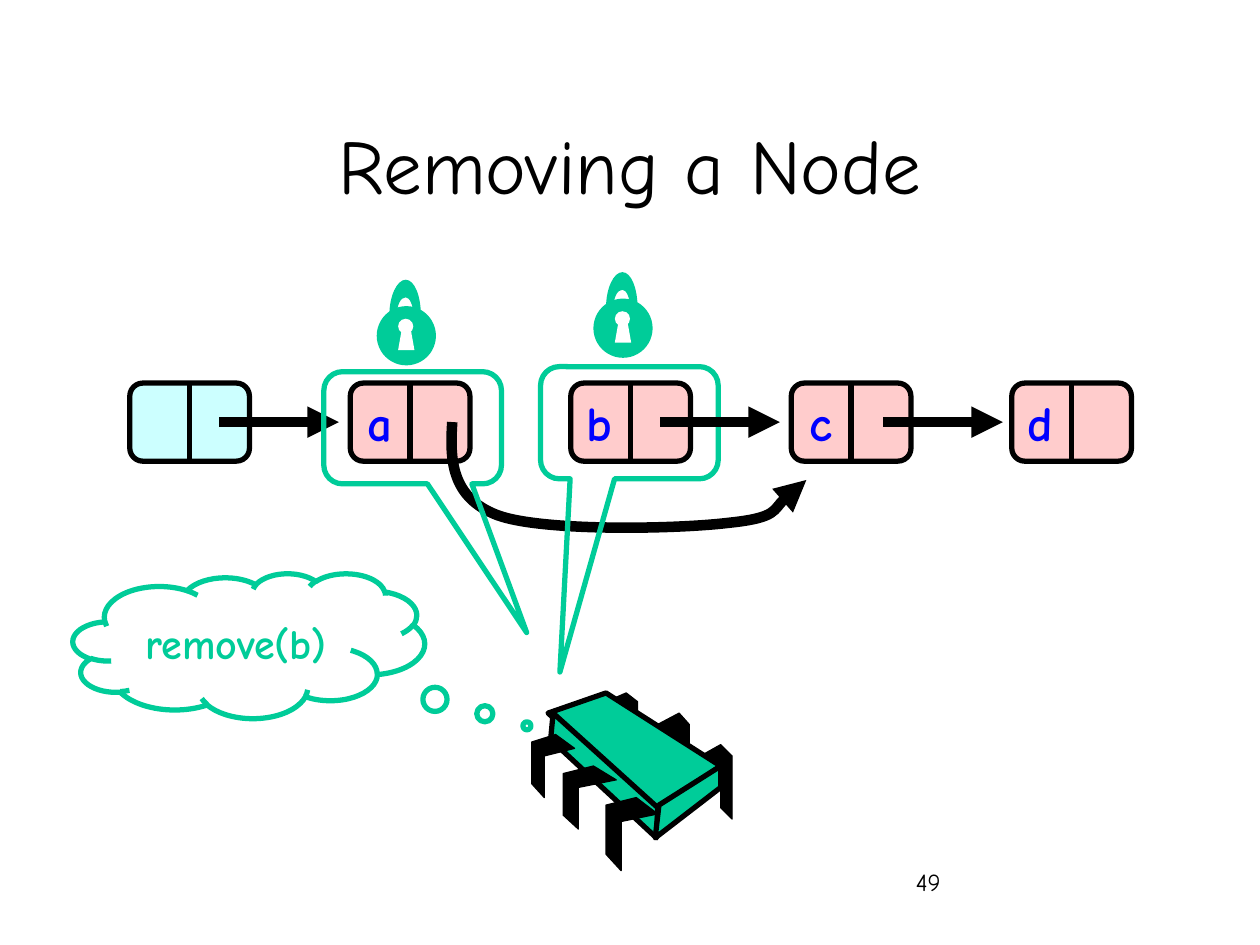
from lxml.etree import SubElement
from pptx import Presentation
from pptx.dml.color import RGBColor
from pptx.enum.shapes import MSO_CONNECTOR, MSO_SHAPE
from pptx.enum.text import MSO_ANCHOR, PP_ALIGN
from pptx.oxml.ns import qn
from pptx.util import Pt

PX = 9144  # EMU per px, 100 px to the inch
FONT = "Comic Neue"
COLORS = {"black": "000000", "white": "FFFFFF", "blue": "0000FF",
          "green": "00CC99", "cyan": "CCFFFF", "pink": "FFCCCC"}

# Content
TITLE = "Removing a Node"
PAGE_NUMBER = "49"
CALL = "remove(b)"
NODES = ["", "a", "b", "c", "d"]
NODE_LEFT, NODE_TOP, NODE_STEP = 103, 304, 175
NODE_WIDTH, NODE_HEIGHT = 95, 62
ARROW_STARTS, ARROW_LENGTH, ARROW_Y = [174, 524, 701], 95, 335
BYPASS = [(359, 335), (357, 365), (358, 395), (395, 409), (431, 422),
          (537, 420), (578, 415), (618, 411), (627, 388), (640, 381)]

# Lock callouts: box and pointer adjustments
CALLOUTS = [((429, 291, 141, 89), (-0.391, 2.223, 0.167)),
            ((257, 295, 141, 89), (0.642, 1.826, 0.167))]
CLOUD = ((58, 455, 279, 115), (0.791, 0.553))

# Padlocks: corners, and outlines relative to them
LOCKS = [(471, 237), (299, 243)]
KEYHOLE = [(17, 35), (20, 18), (27, 18), (30, 35)]
SHACKLE = [(16, 7), (16, -1), (19, -7), (23, -7), (26, -7), (29, -1), (29, 7),
           (35, 7), (35, -8), (30, -21), (23, -21), (16, -21), (10, -8), (10, 7)]

# Processor chip, back to front: fill, line width, outline
CHIP = [
    ("black", 0.75, [(556, 600), (572, 591), (581, 600), (581, 650),
                     (572, 641), (572, 608), (556, 616)]),
    ("black", 0.75, [(522, 575), (539, 566), (547, 575), (547, 625),
                     (539, 616), (539, 583), (522, 591)]),
    ("black", 0.75, [(481, 557), (497, 550), (506, 557), (506, 600),
                     (497, 593), (497, 564), (481, 571)]),
    ("green", 3, [(481, 550), (572, 608), (521, 643), (435, 566)]),
    ("green", 3, [(439, 566), (522, 641), (521, 665), (437, 587)]),
    ("green", 3, [(572, 608), (572, 625), (520, 665), (523, 639)]),
    ("black", 0.75, [(505, 633), (522, 646), (493, 652), (493, 691),
                     (481, 678), (481, 639)]),
    ("black", 0.75, [(471, 608), (489, 619), (459, 625), (459, 658),
                     (447, 647), (447, 614)]),
    ("black", 0.75, [(441, 583), (456, 594), (432, 600), (432, 633),
                     (422, 622), (422, 589)]),
]


def rgb(name):
    return RGBColor.from_string(COLORS[name])


def paint(shape, fill=None, line=None, width=3):
    shape.shadow.inherit = False
    if fill:
        shape.fill.solid()
        shape.fill.fore_color.rgb = rgb(fill)
    else:
        shape.fill.background()
    if line:
        shape.line.color.rgb = rgb(line)
        shape.line.width = Pt(width)
    else:
        shape.line.fill.background()


def write(shape, text, size, color="black", bold=False, align=PP_ALIGN.LEFT,
          anchor=MSO_ANCHOR.TOP, wrap=True):
    frame = shape.text_frame
    frame.word_wrap = wrap
    frame.vertical_anchor = anchor
    paragraph = frame.paragraphs[0]
    paragraph.alignment = align
    run = paragraph.add_run()
    run.text = text
    run.font.name = FONT
    run.font.size = Pt(size)
    run.font.bold = bold
    run.font.color.rgb = rgb(color)


def add_box_text(shapes, box, text, size, **style):
    write(shapes.add_textbox(*(value * PX for value in box)), text, size, **style)


def add_shape(shapes, kind, box, adjustments=(), **style):
    shape = shapes.add_shape(kind, *(value * PX for value in box))
    for index, value in enumerate(adjustments):
        shape.adjustments[index] = value
    paint(shape, **style)
    return shape


def add_outline(shapes, points, curve_starts=(), close=True, **style):
    """Each curve start is the segment that opens a run of three curve points."""
    builder = shapes.build_freeform(*points[0], scale=PX)
    builder.add_line_segments(points[1:], close=close)
    shape = builder.convert_to_shape()
    segments = list(shape._element.iter(qn("a:lnTo")))
    for start in curve_starts:
        curve, *others = segments[start:start + 3]
        curve.tag = qn("a:cubicBezTo")
        for segment in others:
            curve.append(segment[0])
            segment.getparent().remove(segment)
    paint(shape, **style)
    return shape


def add_line(shapes, start, end, width):
    line = shapes.add_connector(MSO_CONNECTOR.STRAIGHT,
                                *(value * PX for value in start + end))
    line.line.color.rgb = rgb("black")
    line.line.width = Pt(width)
    SubElement(line._element.spPr, qn("a:effectLst"))
    return line


def add_arrowhead(shape):
    SubElement(shape.line._get_or_add_ln(), qn("a:tailEnd"), type="triangle")


def add_arrow(shapes, left):
    add_arrowhead(add_line(shapes, (left, ARROW_Y), (left + ARROW_LENGTH, ARROW_Y), 6))


def add_node(slide, index, label):
    shapes = slide.shapes.add_group_shape().shapes
    left = NODE_LEFT + index * NODE_STEP
    node = add_shape(shapes, MSO_SHAPE.ROUNDED_RECTANGLE,
                     (left, NODE_TOP, NODE_WIDTH, NODE_HEIGHT), [0.167],
                     fill="pink" if label else "cyan", line="black")
    middle = left + NODE_WIDTH // 2
    divider = add_line(shapes, (middle, NODE_TOP), (middle, NODE_TOP + NODE_HEIGHT), 3)
    divider.begin_connect(node, 0)
    divider.end_connect(node, 2)
    if label:
        add_box_text(shapes, (left, NODE_TOP + 3, 43, 57), label, 28, color="blue",
                     bold=True, align=PP_ALIGN.RIGHT, wrap=False)


def add_lock(slide, left, top):
    shapes = slide.shapes.add_group_shape().shapes
    add_shape(shapes, MSO_SHAPE.OVAL, (left, top, 47, 47), fill="green")
    add_shape(shapes, MSO_SHAPE.OVAL, (left + 17, top + 10, 12, 12), fill="white")
    for points, curves, fill in [(KEYHOLE, (), "white"),
                                 (SHACKLE, (0, 3, 7, 10), "green")]:
        add_outline(shapes, [(left + x, top + y) for x, y in points], curves, fill=fill)


def main():
    presentation = Presentation()
    presentation.slide_width, presentation.slide_height = 1000 * PX, 750 * PX
    slide = presentation.slides.add_slide(presentation.slide_layouts[6])
    shapes = slide.shapes

    # Page number and title
    add_box_text(shapes, (717, 683, 208, 50), PAGE_NUMBER, 14)
    add_box_text(shapes, (75, 67, 850, 125), TITLE, 44,
                 align=PP_ALIGN.CENTER, anchor=MSO_ANCHOR.MIDDLE)

    # Linked list, with the bypass from a to c
    add_shape(shapes, MSO_SHAPE.OVAL, (647, 486, 109, 117),
              fill="white", line="white", width=1)
    for index, label in enumerate(NODES):
        add_node(slide, index, label)
    add_arrow(shapes, ARROW_STARTS[0])
    add_arrowhead(add_outline(shapes, BYPASS, (0, 3, 6), close=False,
                              line="black", width=6))

    # Processor chip
    chip = shapes.add_group_shape().shapes
    for fill, width, points in CHIP:
        add_outline(chip, points, fill=fill, line="black", width=width)

    # Callouts and the remaining links
    for box, adjustments in CALLOUTS:
        add_shape(shapes, MSO_SHAPE.ROUNDED_RECTANGULAR_CALLOUT, box, adjustments,
                  line="green")
    for left in ARROW_STARTS[1:]:
        add_arrow(shapes, left)
    cloud = add_shape(shapes, MSO_SHAPE.CLOUD_CALLOUT, *CLOUD, line="green")
    write(cloud, CALL, 24, color="green", bold=True,
          align=PP_ALIGN.CENTER, anchor=MSO_ANCHOR.MIDDLE)

    # Padlocks
    for left, top in LOCKS:
        add_lock(slide, left, top)

    presentation.save("out.pptx")


if __name__ == "__main__":
    main()
